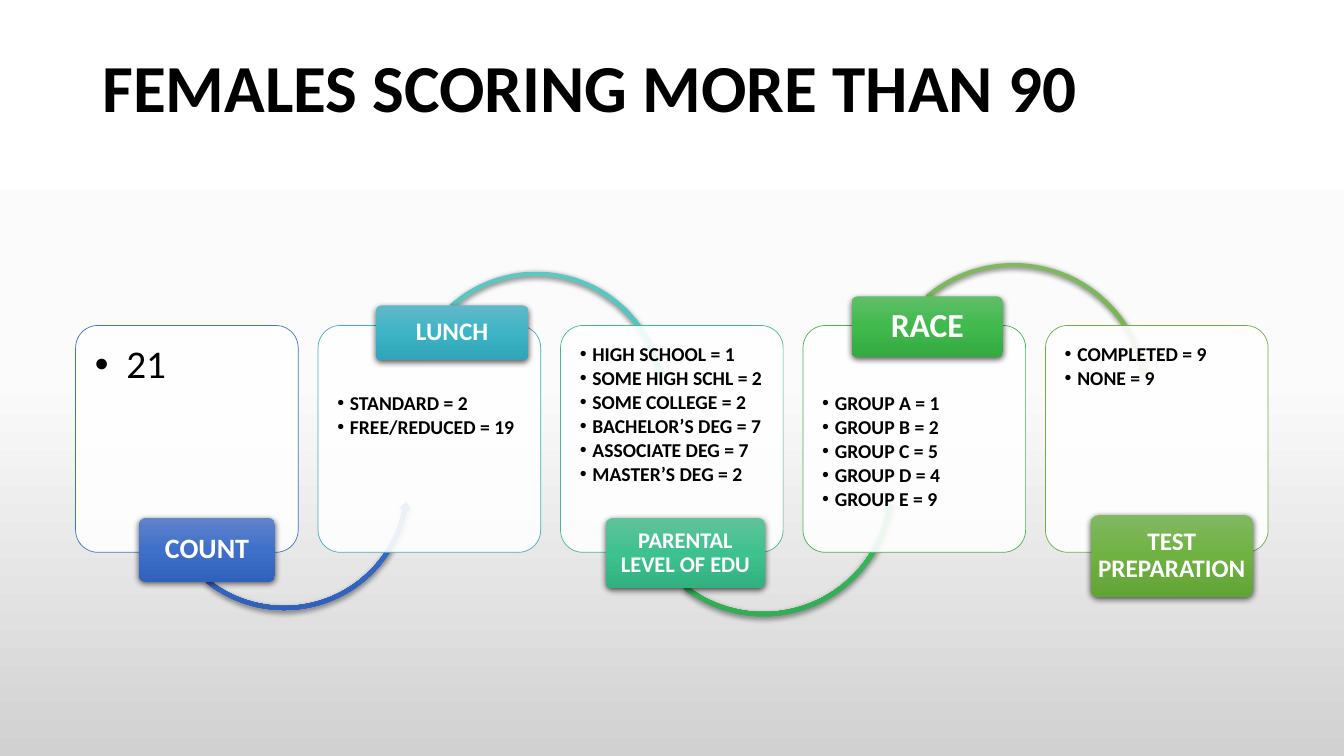
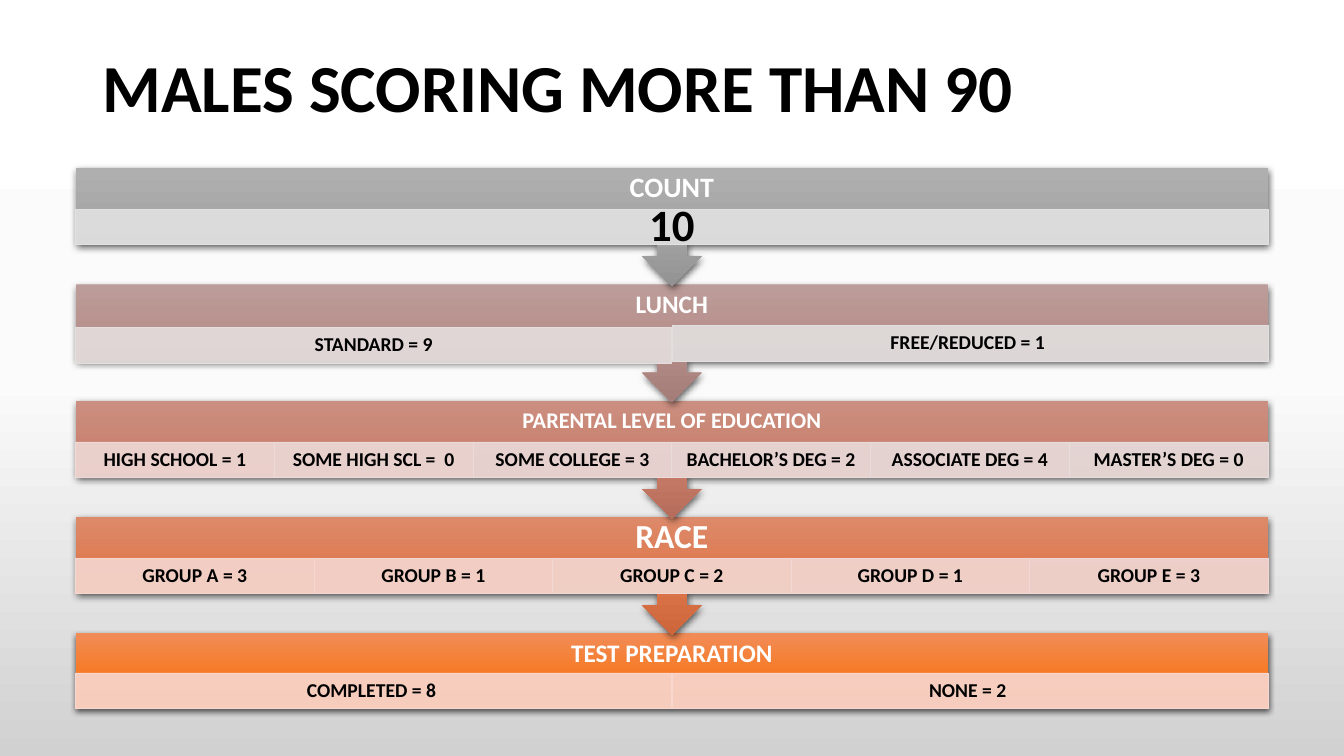
from dataclasses import dataclass
from typing import Any, NamedTuple, Optional

from lxml import etree
from pptx import Presentation
from pptx.dml.color import RGBColor
from pptx.enum.shapes import MSO_SHAPE
from pptx.enum.text import MSO_ANCHOR, MSO_AUTO_SIZE, PP_ALIGN
from pptx.oxml.ns import qn
from pptx.util import Pt

RECTANGLE = MSO_SHAPE.RECTANGLE
ROUNDED = MSO_SHAPE.ROUNDED_RECTANGLE
CALLOUT = MSO_SHAPE.UP_ARROW_CALLOUT
CLOCKWISE = MSO_SHAPE.CIRCULAR_ARROW
COUNTERCLOCKWISE = MSO_SHAPE.LEFT_CIRCULAR_ARROW
MIDDLE, TOP = MSO_ANCHOR.MIDDLE, MSO_ANCHOR.TOP
CENTER, LEFT = PP_ALIGN.CENTER, PP_ALIGN.LEFT
NO_AUTOFIT = MSO_AUTO_SIZE.NONE

FONT = "Calibri"
TITLE_ONLY_LAYOUT, COMPARISON_LAYOUT = 5, 4
COLORS = {
    "white": "FFFFFF",
    "black": "000000",
    "background": "FFFFFF FBFBFB D1D1D1",
    "blue": "6183CB 3E70CA 3062BB",
    "cyan": "61B8C7 3DB4C6 30A5B7",
    "turquoise": "60C6C1 3DC4BF 30B5B0",
    "teal": "60C39A 3DC18F 31B080",
    "emerald": "60C077 3FBC62 33AC55",
    "green": "60BE68 40B94D 34AA41",
    "olive": "81B861 6FB242 62A336",
    "blue_line": "4472C4",
    "cyan_line": "43AFC0",
    "teal_line": "43BB8D",
    "green_line": "45B451",
    "olive_line": "70AD47",
    "gray": "AFAFAF A5A5A5 939393",
    "mauve": "BC9C99 B68E89 A47C78",
    "rose": "CB8F81 C97E6B B76D5B",
    "rust": "DD8A6A DE774B CD673B",
    "orange": "F18C57 F67B28 E56C19",
    "gray_cells": "E1E1E1",
    "mauve_cells": "E4DEDE E2DFDF",
    "rose_cells": "EED9D6 ECDAD7 EADAD9 E9DBDA E7DCDB E6DDDD",
    "rust_cells": "F5D7D0 F4D7D1 F2D8D2 F1D8D4 EFD8D5",
    "orange_cells": "F8D7CE F7D7CF",
}

CARD_LEFT, CARD_TOP, CARD_STEP = 54, 232.5, 173.2
CARD_WIDTH, CARD_HEIGHT = 159, 162
LIST_MARGIN, LIST_HEIGHT, LIST_DROP = 3.7, 119.5, 34.6
STAGE_LEFT, STAGE_TOP, STAGE_STEP, STAGE_WIDTH = 54, 120, 83.1, 851.8
CALLOUT_HEIGHT, LAST_HEIGHT = 84.2, 54.4
HEADER_HEIGHT, LAST_HEADER_HEIGHT, CELL_HEIGHT = 29.5, 28.3, 25.4


class Box(NamedTuple):
    left: float
    top: float
    width: float
    height: float


class TextStyle(NamedTuple):
    size: float
    color: str = "black"
    bold: bool = True
    align: Any = CENTER
    anchor: Any = MIDDLE
    inset: tuple[float, float] = (2, 2)
    space_after: float = 0
    bullet_indent: float = 0


@dataclass
class Arrow:
    kind: Any
    left: float
    top: float
    size: float
    color: str
    thickness: float
    head_width: float
    head_degrees: float
    end_degrees: float
    start_degrees: float


@dataclass
class Card:
    label: str
    label_size: float
    color: str
    tag: Box
    items: list[str]
    tag_on_top: bool = False
    arrow: Optional[Arrow] = None


@dataclass
class Stage:
    label: str
    label_size: float
    color: str
    cells: list[str]
    cell_size: float = 14
    first_cell_drop: float = 0


CARDS = [
    Card("COUNT", 20, "blue", Box(99.4, 370, 97, 45.4), ["21"],
         arrow=Arrow(COUNTERCLOCKWISE, 111.6, 254.9, 182.9, "blue",
                     1.6, 1.9, 3.2, 11.32, 128.94)),
    Card("LUNCH", 18, "cyan", Box(268.6, 218.2, 108.7, 39),
         ["STANDARD = 2", "FREE/REDUCED = 19"], True,
         Arrow(CLOCKWISE, 289.4, 192.2, 187.2, "turquoise",
               1.6, 1.8, 3.12, 345.78, 228.08)),
    Card("PARENTAL LEVEL OF EDU", 16, "teal", Box(432.7, 370, 113.8, 50.2),
         ["HIGH SCHOOL = 1", "SOME HIGH SCHL = 2", "SOME COLLEGE = 2",
          "BACHELOR’S DEG = 7", "ASSOCIATE DEG = 7", "MASTER’S DEG = 2"],
         arrow=Arrow(COUNTERCLOCKWISE, 450.7, 252.7, 189.4, "emerald",
                     1.6, 1.8, 3.08, 10.2, 127.94)),
    Card("RACE", 24, "green", Box(608.4, 211.7, 108, 43.5),
         ["GROUP A = 1", "GROUP B = 2", "GROUP C = 5", "GROUP D = 4",
          "GROUP E = 9"], True,
         Arrow(CLOCKWISE, 625.7, 185.8, 196.6, "olive",
               1.5, 1.8, 2.97, 347.35, 229.5)),
    Card("TEST PREPARATION", 18, "olive", Box(779, 368, 116, 58.5),
         ["COMPLETED = 9", "NONE = 9"]),
]

STAGES = [
    Stage("COUNT", 20, "gray", ["10"], cell_size=32),
    Stage("LUNCH", 18, "mauve", ["STANDARD = 9", "FREE/REDUCED = 1 "],
          first_cell_drop=1.4),
    Stage("PARENTAL LEVEL OF EDUCATION", 16, "rose",
          ["HIGH SCHOOL = 1", "SOME HIGH SCL =  0", "SOME COLLEGE = 3",
           "BACHELOR’S DEG = 2", "ASSOCIATE DEG = 4", "MASTER’S DEG = 0"]),
    Stage("RACE", 24, "rust",
          ["GROUP A = 3", "GROUP B = 1", "GROUP C = 2", "GROUP D = 1",
           "GROUP E = 3"]),
    Stage("TEST PREPARATION", 18, "orange", ["COMPLETED = 8 ", "NONE = 2 "]),
]


def place(shape: Any, box: Box) -> None:
    shape.left, shape.top, shape.width, shape.height = (Pt(v) for v in box)


def set_gradient(fill: Any, element: Any, color: str) -> None:
    fill.gradient()
    fill.gradient_angle = 270
    gradient = element.find(".//" + qn("a:gradFill"))
    gradient.set("rotWithShape", "0")
    stops = gradient.find(qn("a:gsLst"))
    for stop in list(stops):
        stops.remove(stop)
    for position, value in zip((0, 50000, 100000), COLORS[color].split()):
        stop = etree.SubElement(stops, qn("a:gs"), pos=str(position))
        etree.SubElement(stop, qn("a:srgbClr"), val=value)


def add_glossy_shape(slide: Any, kind: Any, box: Box, color: str) -> Any:
    shape = slide.shapes.add_shape(kind, *(Pt(v) for v in box))
    set_gradient(shape.fill, shape.element.spPr, color)
    shape.line.fill.background()
    shape.shadow.inherit = False
    effects = shape.element.spPr.find(qn("a:effectLst"))
    shadow = etree.SubElement(effects, qn("a:outerShdw"), blurRad=str(Pt(4.5)),
                              dist=str(Pt(1.5)), dir="5400000", algn="ctr",
                              rotWithShape="0")
    shade = etree.SubElement(shadow, qn("a:srgbClr"), val=COLORS["black"])
    etree.SubElement(shade, qn("a:alpha"), val="63000")
    return shape


def add_panel(slide: Any, kind: Any, box: Box, fill: str, line: str) -> Any:
    shape = slide.shapes.add_shape(kind, *(Pt(v) for v in box))
    shape.shadow.inherit = False
    shape.fill.solid()
    shape.fill.fore_color.rgb = RGBColor.from_string(fill)
    color = shape.element.spPr.find(".//" + qn("a:srgbClr"))
    etree.SubElement(color, qn("a:alpha"), val="90000")
    shape.line.color.rgb = RGBColor.from_string(line)
    shape.line.width = Pt(0.5)
    return shape


def write_text(shape: Any, lines: list[str], style: TextStyle) -> None:
    frame = shape.text_frame
    frame.word_wrap = True
    frame.auto_size = NO_AUTOFIT
    frame.vertical_anchor = style.anchor
    frame.margin_left = frame.margin_right = Pt(style.inset[0])
    frame.margin_top = frame.margin_bottom = Pt(style.inset[1])
    for index, line in enumerate(lines):
        paragraph = frame.add_paragraph() if index else frame.paragraphs[0]
        paragraph.alignment = style.align
        paragraph.line_spacing = 0.9
        paragraph.space_before = Pt(0)
        paragraph.space_after = Pt(style.space_after)
        if style.bullet_indent:
            properties = paragraph._p.get_or_add_pPr()
            properties.set("marL", str(Pt(style.bullet_indent)))
            properties.set("indent", str(-Pt(style.bullet_indent)))
            etree.SubElement(properties, qn("a:buFont"), typeface="Arial")
            etree.SubElement(properties, qn("a:buChar"), char="•")
        run = paragraph.add_run()
        run.text = line
        run.font.name = FONT
        run.font.size = Pt(style.size)
        run.font.bold = style.bold
        run.font.color.rgb = RGBColor.from_string(COLORS[style.color])


def add_text(slide: Any, box: Box, lines: list[str], style: TextStyle) -> None:
    write_text(slide.shapes.add_textbox(*(Pt(v) for v in box)), lines, style)


def add_titled_slide(presentation: Any, layout: int, title: str) -> Any:
    slide = presentation.slides.add_slide(presentation.slide_layouts[layout])
    place(slide.shapes.title, Box(66, 28.8, 828, 72.7))
    write_text(slide.shapes.title, [title],
               TextStyle(48, align=LEFT, inset=(7.2, 3.6)))
    return slide


def add_arrow(slide: Any, arrow: Arrow) -> None:
    box = Box(arrow.left, arrow.top, arrow.size, arrow.size)
    shape = add_glossy_shape(slide, arrow.kind, box, arrow.color)
    angles = (arrow.head_degrees, arrow.end_degrees, arrow.start_degrees)
    values = [arrow.thickness / 100, *(angle * 0.6 for angle in angles),
              arrow.head_width / 100]
    for index, value in enumerate(values):
        shape.adjustments[index] = value


def add_card(slide: Any, card: Card, index: int, bodies: list[Any]) -> None:
    left = CARD_LEFT + index * CARD_STEP
    panel = add_panel(slide, ROUNDED, Box(left, CARD_TOP, CARD_WIDTH, CARD_HEIGHT),
                      COLORS["white"], COLORS[card.color + "_line"])
    panel.adjustments[0] = 0.1
    list_top = CARD_TOP + (LIST_DROP if card.tag_on_top else 0) + LIST_MARGIN
    list_box = Box(left + LIST_MARGIN, list_top,
                   CARD_WIDTH - 2 * LIST_MARGIN, LIST_HEIGHT)
    style = TextStyle(14, align=LEFT, anchor=TOP, inset=(10, 10),
                      space_after=2, bullet_indent=9)
    if len(card.items) > 1:
        body = bodies.pop(0)
        place(body, list_box)
        slide.shapes.element.append(body.element)
        write_text(body, card.items, style)
    else:
        add_text(slide, list_box, card.items,
                 style._replace(size=28, bold=False, bullet_indent=22.5))
    if card.arrow:
        add_arrow(slide, card.arrow)
    tag = add_glossy_shape(slide, ROUNDED, card.tag, card.color)
    tag.adjustments[0] = 0.1
    write_text(tag, [card.label], TextStyle(card.label_size, "white"))


def add_stage(slide: Any, stage: Stage, index: int) -> None:
    last = index == len(STAGES) - 1
    top = STAGE_TOP + index * STAGE_STEP
    height = LAST_HEIGHT if last else CALLOUT_HEIGHT
    band = add_glossy_shape(slide, RECTANGLE if last else CALLOUT,
                            Box(STAGE_LEFT, top, STAGE_WIDTH, height), stage.color)
    band.rotation = 0 if last else 180
    add_text(slide, Box(STAGE_LEFT, top, STAGE_WIDTH, HEADER_HEIGHT),
             [stage.label], TextStyle(stage.label_size, "white"))
    cell_top = top + (LAST_HEADER_HEIGHT if last else HEADER_HEIGHT)
    width = STAGE_WIDTH / len(stage.cells)
    fills = COLORS[stage.color + "_cells"].split()
    for column, (label, fill) in enumerate(zip(stage.cells, fills)):
        drop = 0 if column else stage.first_cell_drop
        box = Box(STAGE_LEFT + column * width, cell_top + drop, width, CELL_HEIGHT)
        cell = add_panel(slide, RECTANGLE, box, fill, fill)
        write_text(cell, [label], TextStyle(stage.cell_size, inset=(8, 1.5)))


def main() -> None:
    presentation = Presentation()
    presentation.slide_width, presentation.slide_height = Pt(960), Pt(540)
    master = presentation.slide_master
    set_gradient(master.background.fill, master.element, "background")

    females = add_titled_slide(presentation, COMPARISON_LAYOUT,
                               "FEMALES SCORING MORE THAN 90")
    bodies = list(females.placeholders)[1:]
    for index, card in enumerate(CARDS):
        add_card(females, card, index, bodies)

    males = add_titled_slide(presentation, TITLE_ONLY_LAYOUT,
                             "MALES SCORING MORE THAN 90")
    for index, stage in reversed(list(enumerate(STAGES))):
        add_stage(males, stage, index)

    presentation.save("out.pptx")


if __name__ == "__main__":
    main()
